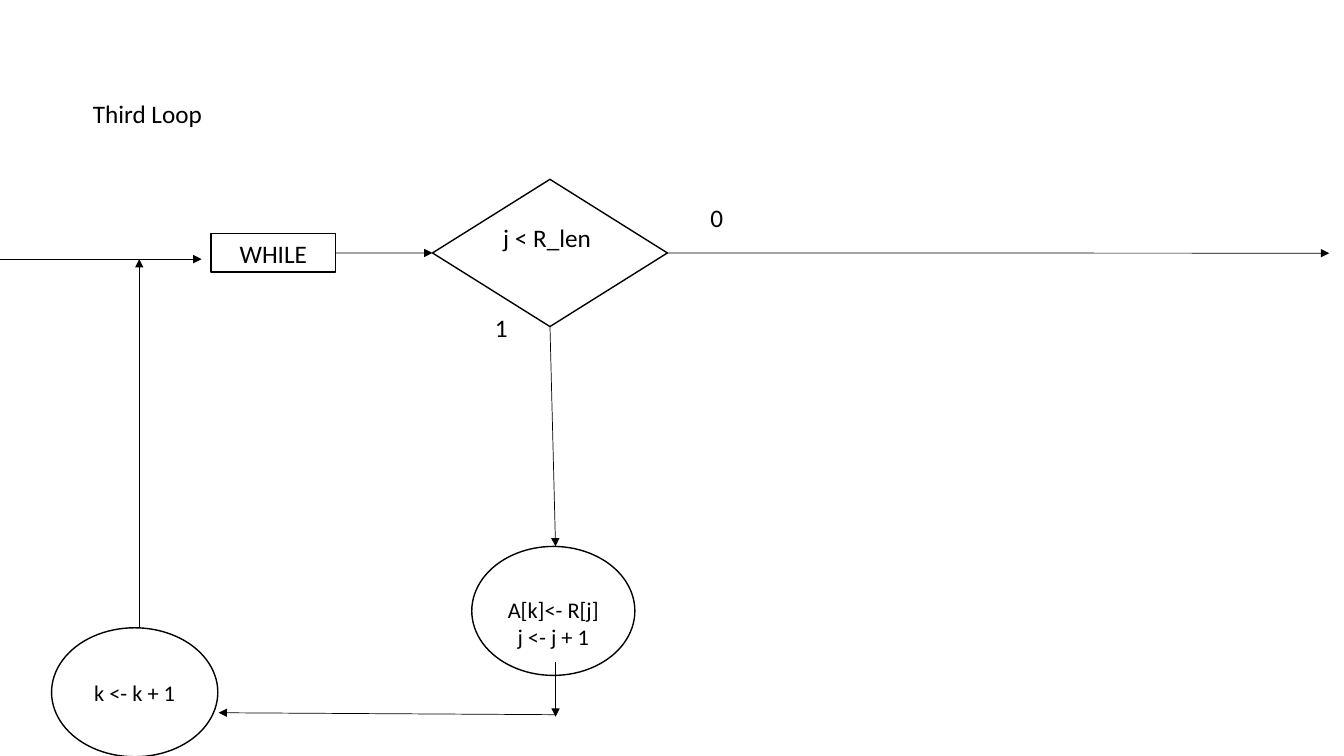
from lxml.etree import SubElement
from pptx import Presentation
from pptx.dml.color import RGBColor
from pptx.enum.shapes import MSO_CONNECTOR, MSO_SHAPE
from pptx.enum.text import MSO_ANCHOR, PP_ALIGN
from pptx.oxml.ns import qn
from pptx.util import Cm, Pt

COLORS = {"ink": "000000", "paper": "FFFFFF"}
FONT = "Calibri"
TOP, LEFT, BOTTOM, RIGHT = range(4)


def color(name):
    return RGBColor.from_string(COLORS[name])


def write(frame, lines, size, align):
    frame.word_wrap = True
    frame.text = "\n".join(lines)
    for para in frame.paragraphs:
        para.alignment = align
        para.font.name = FONT
        para.font.size = Pt(size)
        para.font.color.rgb = color("ink")


def title(slide, box):
    head = slide.shapes.title
    head.left, head.top, head.width, head.height = map(Cm, box)
    frame = head.text_frame
    frame.margin_left = frame.margin_right = 0
    frame.margin_top = frame.margin_bottom = 0
    frame.vertical_anchor = MSO_ANCHOR.MIDDLE
    write(frame, ["Third Loop"], 18, PP_ALIGN.LEFT)


def flow(slide, box):
    left, top, width, height = box

    def place(x, y):
        return Cm(left + x), Cm(top + y)

    def node(kind, x, y, w, h, lines, size, above=0.13, below=0.13):
        shape = slide.shapes.add_shape(kind, *place(x, y), Cm(w), Cm(h))
        shape.shadow.inherit = False
        shape.fill.solid()
        shape.fill.fore_color.rgb = color("paper")
        shape.line.color.rgb = color("ink")
        shape.line.width = Pt(1)
        frame = shape.text_frame
        frame.margin_top, frame.margin_bottom = Cm(above), Cm(below)
        frame.vertical_anchor = MSO_ANCHOR.MIDDLE
        write(frame, lines, size, PP_ALIGN.CENTER)
        return shape

    def label(x, y, text):
        note = slide.shapes.add_textbox(*place(x, y), Cm(0.65), Cm(1.02))
        write(note.text_frame, [text], 18, PP_ALIGN.LEFT)

    def arrow(start, end, source=None, target=None):
        line = slide.shapes.add_connector(
            MSO_CONNECTOR.STRAIGHT, *place(*start), *place(*end))
        if source:
            line.begin_connect(*source)
        if target:
            line.end_connect(*target)
        line.line.color.rgb = color("ink")
        line.line.width = Pt(0.5)
        props = line.element.spPr
        SubElement(props.find(qn("a:ln")), qn("a:tailEnd"), type="triangle")
        SubElement(props, qn("a:effectLst"))

    arrow((0, 2.03), (5.08, 2.03))
    loop = node(MSO_SHAPE.RECTANGLE, 5.32, 1.39, 3.14, 0.97, ["WHILE"], 18)
    test = node(MSO_SHAPE.FLOWCHART_DECISION, 10.9, 0.02, 5.92, 3.71,
                ["j < R_len "], 18, below=0.9)
    label(17.65, 0.48, "0")
    label(12.22, 3.25, "1")
    arrow((8.46, 1.88), (10.9, 1.88), (loop, RIGHT), (test, LEFT))
    arrow((16.82, 1.88), (width - 0.37, 1.88), (test, RIGHT))
    arrow((13.86, 3.73), (14, 9.27), (test, BOTTOM))
    node(MSO_SHAPE.OVAL, 11.89, 9.27, 4.11, 3.25,
         ["A[k]<- R[j]", "j <- j + 1"], 16, above=0.73)
    arrow((14, 12.19), (14, 13.56))
    arrow((14, 13.51), (5.51, 13.46))
    node(MSO_SHAPE.OVAL, 1.3, height - 3.23, 4.19, 3.25, ["k <- k + 1"], 16)
    arrow((3.51, height - 3.23), (3.51, 2.03))


def main():
    deck = Presentation()
    deck.slide_width, deck.slide_height = Cm(33.87), Cm(19.05)
    slide = deck.slides.add_slide(deck.slide_layouts[5])
    title(slide, (2.34, 1.02, 29.21, 3.68))
    flow(slide, (0, 4.5, 33.87, 14.55))
    deck.save("out.pptx")


if __name__ == "__main__":
    main()
